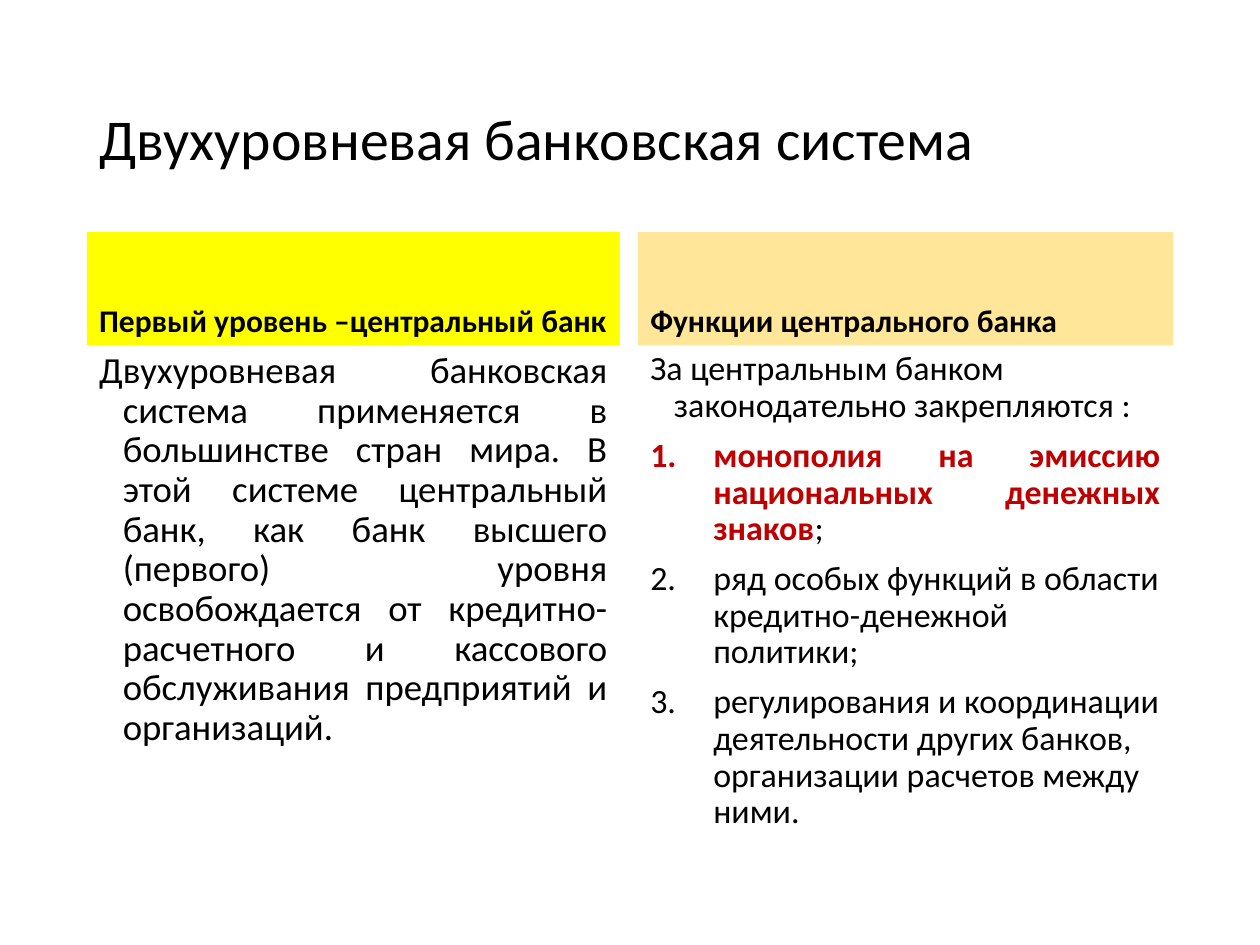
from lxml.etree import SubElement
from pptx import Presentation
from pptx.dml.color import RGBColor
from pptx.enum.text import MSO_ANCHOR, PP_ALIGN
from pptx.oxml.ns import qn
from pptx.util import Pt

FONT = "Calibri"
BLACK = RGBColor(0x00, 0x00, 0x00)
RED = RGBColor(0xC0, 0x00, 0x00)
YELLOW = RGBColor(0xFF, 0xFF, 0x00)
SAND = RGBColor(0xFF, 0xE6, 0x99)

# Column grid, in points
LEFT, RIGHT = 49.6, 364.5
LEFT_WIDTH, RIGHT_WIDTH = 304.6, 306
TITLE_TOP, TITLE_HEIGHT = 28.8, 104
HEADING_TOP, HEADING_HEIGHT = 132.6, 64.8
BODY_TOP, BODY_HEIGHT = HEADING_TOP + HEADING_HEIGHT, 290

LEVEL_TEXT = (
    "Двухуровневая банковская система применяется в большинстве стран мира. "
    "В этой системе центральный банк, как банк высшего (первого) уровня "
    "освобождается от кредитно-расчетного и кассового обслуживания "
    "предприятий и организаций. "
)
OTHER_FUNCTIONS = [
    "ряд особых функций в области кредитно-денежной политики;",
    "регулирования и координации деятельности других банков, "
    "организации расчетов между ними.\u00a0",
]


def add_text_box(slide, left, top, width, height, anchor=MSO_ANCHOR.TOP):
    box = slide.shapes.add_textbox(Pt(left), Pt(top), Pt(width), Pt(height))
    box.text_frame.word_wrap = True
    box.text_frame.vertical_anchor = anchor
    return box


def style_paragraph(paragraph, size, bold=False, space_before=7.5):
    paragraph.line_spacing = 0.9
    paragraph.space_before = Pt(space_before)
    font = paragraph.font
    font.name, font.size, font.bold = FONT, Pt(size), bold
    font.color.rgb = BLACK


def set_hanging_indent(paragraph, indent, numbered=False):
    properties = paragraph._p.get_or_add_pPr()
    properties.set("marL", str(Pt(indent)))
    properties.set("indent", str(-Pt(indent)))
    if numbered:
        numbering = SubElement(properties, qn("a:buAutoNum"), type="arabicPeriod")
        # Bullets come before the default run properties
        properties.find(qn("a:defRPr")).addprevious(numbering)


def add_heading(slide, left, width, text, color):
    heading = add_text_box(slide, left, HEADING_TOP, width, HEADING_HEIGHT,
                           MSO_ANCHOR.BOTTOM)
    heading.fill.solid()
    heading.fill.fore_color.rgb = color
    paragraph = heading.text_frame.paragraphs[0]
    paragraph.text = text
    style_paragraph(paragraph, 18, bold=True)


def add_numbered_item(frame, text):
    item = frame.add_paragraph()
    item.text = text
    style_paragraph(item, 19.4)
    set_hanging_indent(item, 36, numbered=True)
    return item


def add_level_description(slide):
    body = add_text_box(slide, LEFT, BODY_TOP, LEFT_WIDTH, BODY_HEIGHT)
    description = body.text_frame.paragraphs[0]
    description.text = LEVEL_TEXT
    description.alignment = PP_ALIGN.JUSTIFY
    style_paragraph(description, 21)
    set_hanging_indent(description, 13.5)


def add_functions(slide):
    frame = add_text_box(slide, RIGHT, BODY_TOP, RIGHT_WIDTH, BODY_HEIGHT).text_frame
    intro = frame.paragraphs[0]
    intro.text = "За центральным банком законодательно закрепляются :"
    style_paragraph(intro, 19.4)
    set_hanging_indent(intro, 13.5)

    # The first function is emphasised, its semicolon is not
    monopoly = add_numbered_item(
        frame, "монополия на эмиссию национальных денежных знаков")
    monopoly.alignment = PP_ALIGN.JUSTIFY
    emphasis = monopoly.runs[0].font
    emphasis.bold = True
    emphasis.color.rgb = RED
    monopoly.add_run().text = ";"

    for function in OTHER_FUNCTIONS:
        add_numbered_item(frame, function)


def main():
    presentation = Presentation()
    presentation.slide_width, presentation.slide_height = Pt(720), Pt(540)
    slide = presentation.slides.add_slide(presentation.slide_layouts[6])

    # Title
    title_box = add_text_box(slide, LEFT, TITLE_TOP, 621, TITLE_HEIGHT,
                             MSO_ANCHOR.MIDDLE)
    title = title_box.text_frame.paragraphs[0]
    title.text = "Двухуровневая банковская система"
    style_paragraph(title, 33, space_before=0)

    # Left column: first level
    add_heading(slide, LEFT, LEFT_WIDTH, "Первый уровень –центральный банк", YELLOW)
    add_level_description(slide)

    # Right column: functions
    add_heading(slide, RIGHT, RIGHT_WIDTH, "Функции центрального банка", SAND)
    add_functions(slide)

    presentation.save("out.pptx")


if __name__ == "__main__":
    main()
